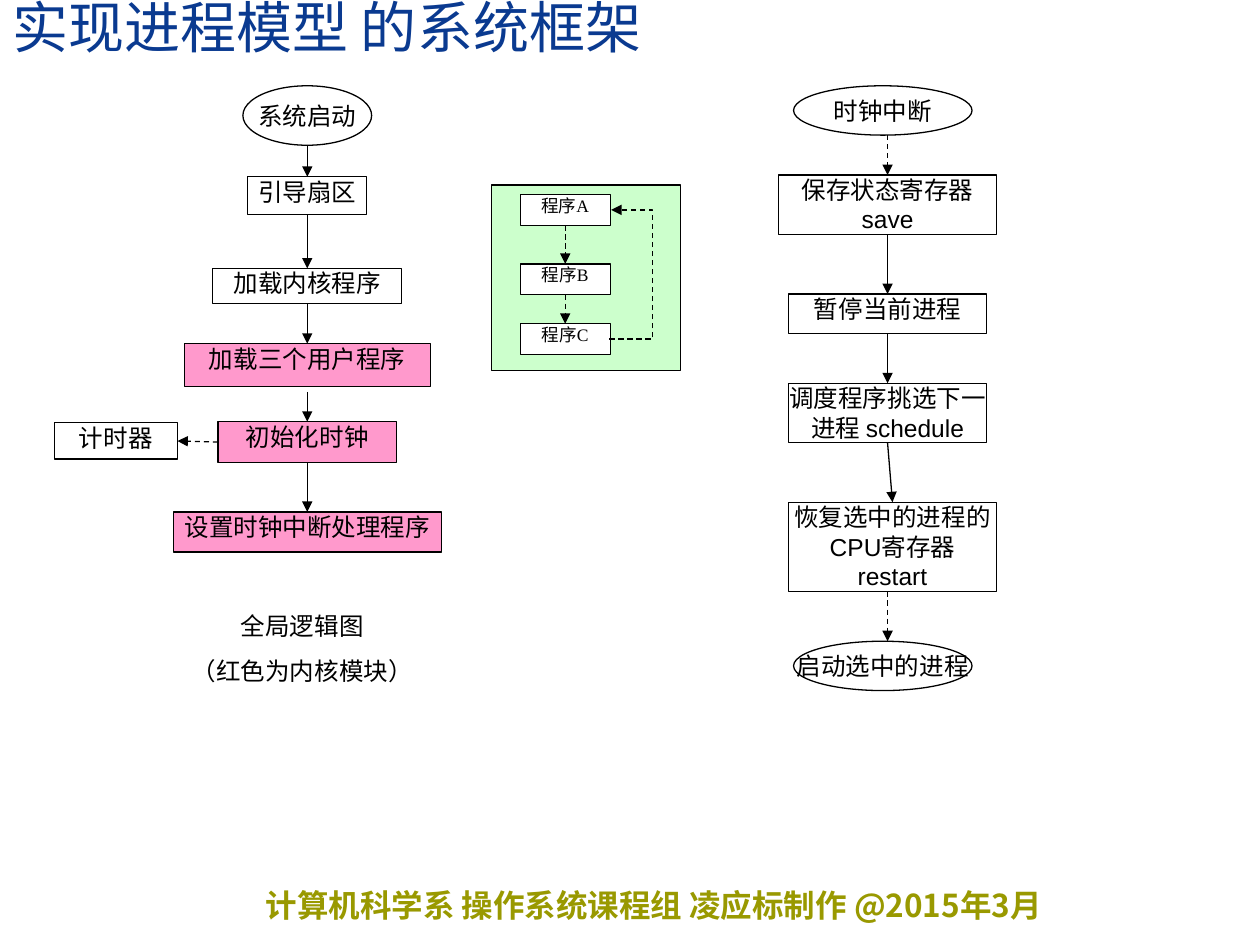
"""Builds the flowchart slide on the system framework of the process model."""
from dataclasses import dataclass
from typing import Optional

from lxml.etree import SubElement
from pptx import Presentation
from pptx.dml.color import RGBColor
from pptx.enum.dml import MSO_LINE
from pptx.enum.shapes import MSO_CONNECTOR, MSO_SHAPE
from pptx.enum.text import MSO_ANCHOR, PP_ALIGN
from pptx.oxml.ns import qn
from pptx.util import Pt

TOP, LEFT, BOTTOM, RIGHT = range(4)


@dataclass(frozen=True)
class Theme:
    title: str = "0A3A90"
    footer: str = "999900"
    ink: str = "000000"
    paper: str = "FFFFFF"
    kernel: str = "FF99CC"
    panel: str = "CCFFCC"
    serif: str = "Times New Roman"
    sans: str = "Arial"
    cjk: str = "Noto Sans CJK SC"
    title_size: float = 32
    footer_size: float = 18
    body_size: float = 14
    small_size: float = 10
    line_width: float = 0.75


THEME = Theme()


@dataclass(frozen=True)
class Node:
    text: str
    center: float
    top: float
    width: float
    height: float
    fill: Optional[str] = THEME.paper
    font: str = THEME.serif
    size: float = THEME.body_size
    oval: bool = False


@dataclass(frozen=True)
class Link:
    start: str
    start_side: int
    end: str
    end_side: int
    dashed: bool = False


@dataclass(frozen=True)
class Arrow:
    start: tuple[float, float]
    end: tuple[float, float]
    dashed: bool = False


BOOT, PROGRAM, CLOCK = 175.6, 323, 507.2

NODES = {
    "power": Node("系统启动", BOOT, 49, 73.6, 34, None, THEME.sans, oval=True),
    "sector": Node("引导扇区", BOOT, 101, 68, 21.4),
    "kernel": Node("加载内核程序", BOOT, 153.4, 108, 20),
    "users": Node("加载三个用户程序", BOOT, 196.4, 140.6, 24.4, THEME.kernel),
    "clock": Node("初始化时钟", BOOT, 241, 102, 23.2, THEME.kernel),
    "handler": Node("设置时钟中断处理程序", BOOT, 292.5, 153.2, 23, THEME.kernel),
    "timer": Node("计时器", 66.2, 241.6, 70.4, 20.8),
    "a": Node("程序A", PROGRAM, 111.2, 51.4, 17.6, size=THEME.small_size),
    "b": Node("程序B", PROGRAM, 150.8, 51.4, 17.6, size=THEME.small_size),
    "c": Node("程序C", PROGRAM, 185, 51.4, 17.6, size=THEME.small_size),
    "interrupt": Node("时钟中断", 504.5, 49, 102, 28.2, None, THEME.sans, oval=True),
    "save": Node("保存状态寄存器\vsave", CLOCK, 100, 124.6, 34, font=THEME.sans),
    "pause": Node("暂停当前进程", CLOCK, 168, 113.4, 22.6, font=THEME.sans),
    "schedule": Node("调度程序挑选下一\v进程 schedule", CLOCK, 219, 113.4, 34,
                     font=THEME.sans),
    "restart": Node("恢复选中的进程的\vCPU寄存器\vrestart", 510, 287, 119, 51,
                    font=THEME.sans),
    "resume": Node("启动选中的进程", 504.5, 366.4, 102, 28.2, None, THEME.sans, oval=True),
}

LINKS = [
    Link("sector", BOTTOM, "kernel", TOP),
    Link("kernel", BOTTOM, "users", TOP),
    Link("clock", BOTTOM, "handler", TOP),
    Link("clock", LEFT, "timer", RIGHT, dashed=True),
    Link("a", BOTTOM, "b", TOP, dashed=True),
    Link("b", BOTTOM, "c", TOP, dashed=True),
    Link("save", BOTTOM, "pause", TOP),
    Link("pause", BOTTOM, "schedule", TOP),
    Link("schedule", BOTTOM, "restart", TOP),
]


def color(value: str) -> RGBColor:
    """Turn a hex string into a colour."""
    return RGBColor.from_string(value)


def write(frame, text: str, *, font: str, size: float, ink: str = THEME.ink,
          bold: bool = False, align=PP_ALIGN.CENTER, anchor=MSO_ANCHOR.TOP,
          wrap: bool = True, margins: tuple[float, float] = (0, 0),
          gap: float = 0, spacing: Optional[float] = None,
          east_asian: Optional[str] = None) -> None:
    """Fill a text frame with one paragraph per line of text."""
    frame.word_wrap = wrap
    frame.vertical_anchor = anchor
    frame.margin_left = frame.margin_right = Pt(margins[0])
    frame.margin_top = frame.margin_bottom = Pt(margins[1])
    frame.text = text
    for index, para in enumerate(frame.paragraphs):
        para.alignment = align
        if spacing:
            para.line_spacing = spacing
        if index:
            para.space_before = Pt(gap)
        for span in para.runs:
            span.font.name = font
            span.font.size = Pt(size)
            span.font.bold = bold
            span.font.color.rgb = color(ink)
            if east_asian:
                SubElement(span.font._element, qn("a:ea")).set("typeface", east_asian)


def add_label(page, text: str, left: float, top: float, width: float,
              height: float, **style) -> None:
    """Place a plain text box."""
    box = page.shapes.add_textbox(Pt(left), Pt(top), Pt(width), Pt(height))
    write(box.text_frame, text, **style)


def add_box(page, preset, left: float, top: float, width: float, height: float,
            fill: Optional[str]):
    """Draw an outlined shape without a shadow."""
    box = page.shapes.add_shape(preset, Pt(left), Pt(top), Pt(width), Pt(height))
    box.shadow.inherit = False
    if fill:
        box.fill.solid()
        box.fill.fore_color.rgb = color(fill)
    else:
        box.fill.background()
    box.line.color.rgb = color(THEME.ink)
    box.line.width = Pt(THEME.line_width)
    return box


def add_node(page, node: Node):
    """Draw one step of a flowchart."""
    preset = MSO_SHAPE.OVAL if node.oval else MSO_SHAPE.RECTANGLE
    box = add_box(page, preset, node.center - node.width / 2, node.top,
                  node.width, node.height, node.fill)
    write(box.text_frame, node.text, font=node.font, size=node.size, wrap=not node.oval,
          anchor=MSO_ANCHOR.MIDDLE if node.oval else MSO_ANCHOR.TOP,
          margins=(7.2, 3.6) if node.oval else (0, 0))
    return box


def add_arrow(page, arrow: Arrow, kind=MSO_CONNECTOR.STRAIGHT):
    """Draw a connector with a triangle at its end."""
    connector = page.shapes.add_connector(kind, *map(Pt, arrow.start + arrow.end))
    connector.line.color.rgb = color(THEME.ink)
    connector.line.width = Pt(THEME.line_width)
    if arrow.dashed:
        connector.line.dash_style = MSO_LINE.DASH
    properties = connector._element.spPr
    SubElement(properties.find(qn("a:ln")), qn("a:tailEnd")).set("type", "triangle")
    SubElement(properties, qn("a:effectLst"))
    return connector


def add_return(page, arrow: Arrow, reach: float) -> None:
    """Draw an elbow arrow that bulges out by the given reach."""
    connector = add_arrow(page, arrow, MSO_CONNECTOR.ELBOW)
    geometry = connector._element.spPr.find(qn("a:prstGeom"))
    values = geometry.find(qn("a:avLst"))
    if values is None:
        values = SubElement(geometry, qn("a:avLst"))
    guide = SubElement(values, qn("a:gd"))
    ratio = reach / (arrow.end[0] - arrow.start[0])
    guide.set("name", "adj1")
    guide.set("fmla", f"val {round(ratio * 100000)}")


def main() -> None:
    """Build and save the slide."""
    deck = Presentation()
    deck.slide_width, deck.slide_height = Pt(720), Pt(540)
    page = deck.slides.add_slide(deck.slide_layouts[6])

    add_label(page, "计算机科学系 操作系统课程组 凌应标制作 @2015年3月", 144.7, 502.6, 538.6, 28.8,
              font=THEME.cjk, east_asian=THEME.cjk, size=THEME.footer_size,
              ink=THEME.footer, bold=True, align=PP_ALIGN.LEFT, margins=(7.2, 3.6))
    add_label(page, "实现进程模型 的系统框架", 0, 0, 720, 37.4, font=THEME.serif,
              size=THEME.title_size, ink=THEME.title, align=PP_ALIGN.LEFT,
              anchor=MSO_ANCHOR.BOTTOM, margins=(7.2, 3.6), spacing=0.8)
    add_label(page, "全局逻辑图\n（红色为内核模块）", 64.8, 349.2, 216, 45.4,
              font=THEME.serif, size=THEME.body_size, gap=8.8)
    add_box(page, MSO_SHAPE.RECTANGLE, 280.8, 105.8, 108, 105.8, THEME.panel)

    boxes = {name: add_node(page, node) for name, node in NODES.items()}
    for link in LINKS:
        connector = add_arrow(page, Arrow((0, 0), (0, 0), link.dashed))
        connector.begin_connect(boxes[link.start], link.start_side)
        connector.end_connect(boxes[link.end], link.end_side)

    add_arrow(page, Arrow((BOOT, 83), (BOOT, 101))).end_connect(boxes["sector"], TOP)
    add_arrow(page, Arrow((BOOT, 224), (BOOT, 241))).end_connect(boxes["clock"], TOP)
    add_arrow(page, Arrow((CLOCK, 77.2), (CLOCK, 100), True)).end_connect(boxes["save"], TOP)
    add_arrow(page, Arrow((CLOCK, 338), (CLOCK, 366.4), True))
    add_return(page, Arrow((348.2, 193.8), (349.2, 120), True), 25)
    deck.save("out.pptx")


if __name__ == "__main__":
    main()
